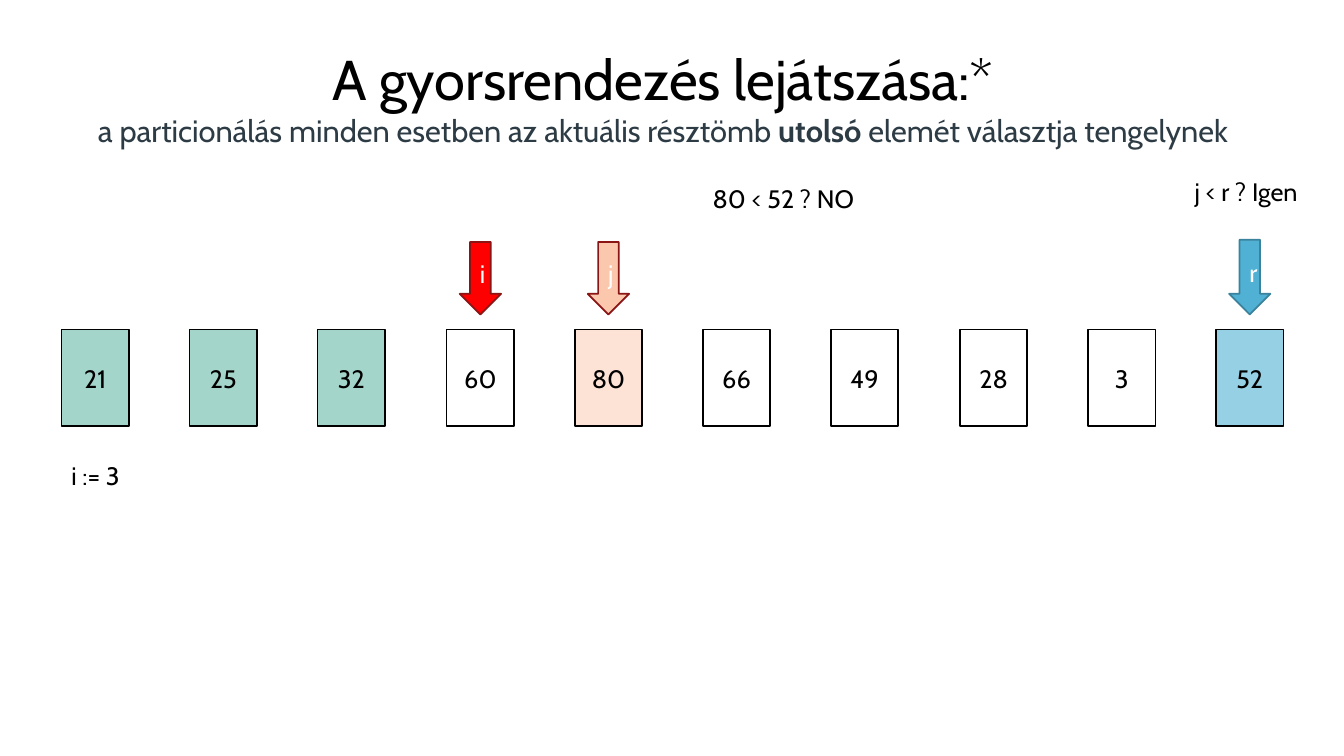
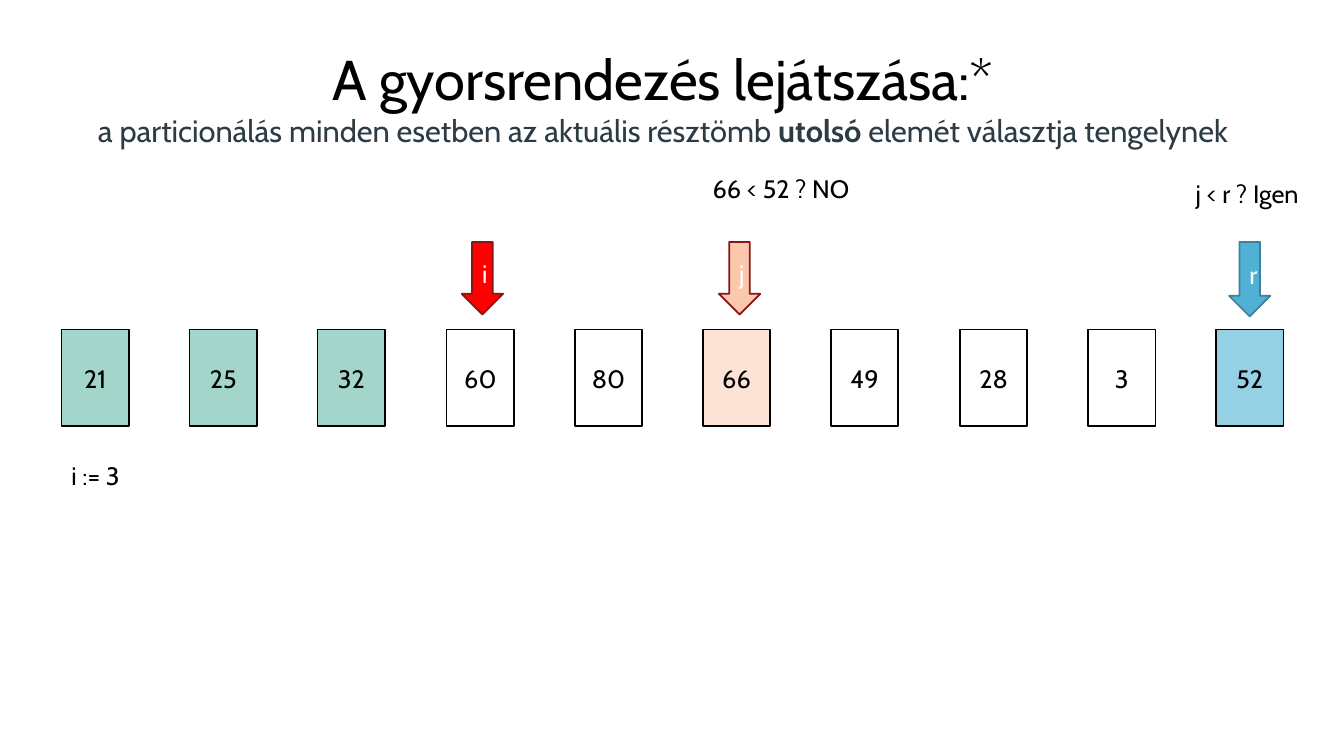
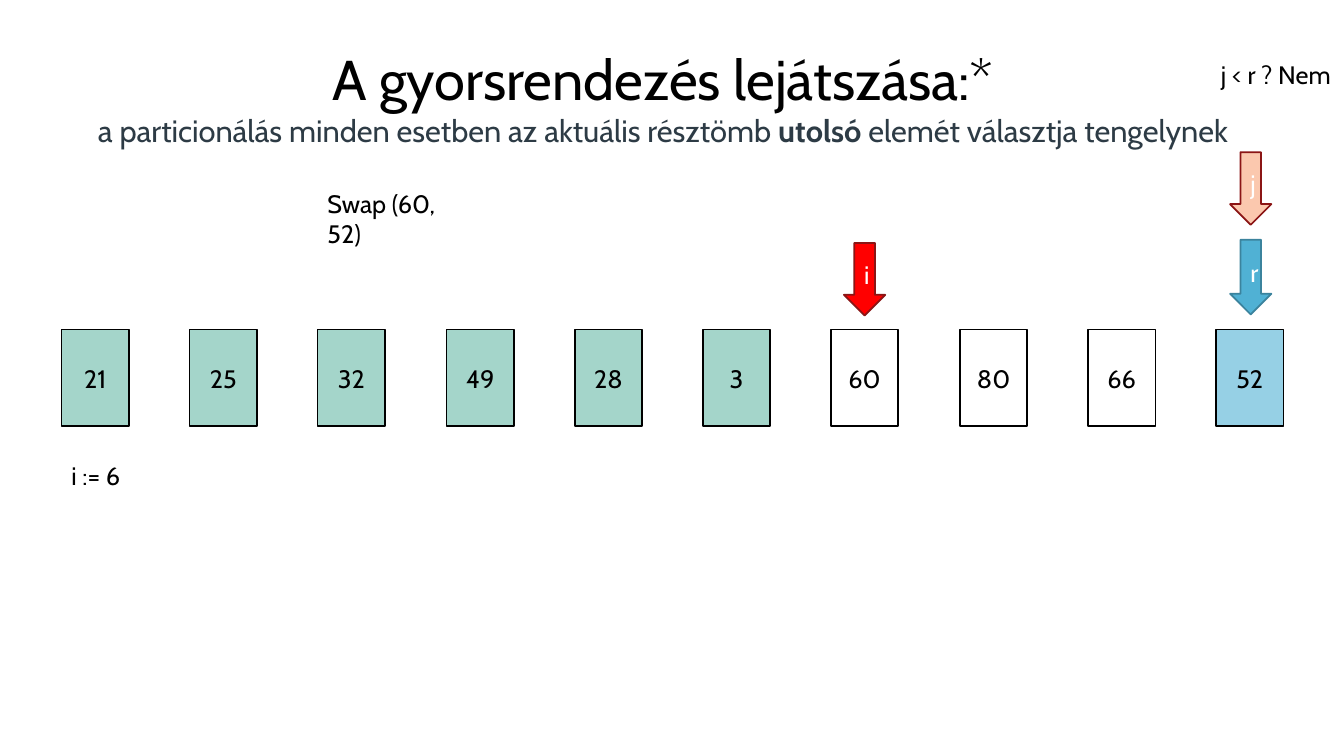
from pptx import Presentation
from pptx.dml.color import RGBColor
from pptx.enum.shapes import MSO_SHAPE as SHAPE
from pptx.enum.text import MSO_ANCHOR as ANCHOR, MSO_AUTO_SIZE as AUTO, PP_ALIGN as ALIGN
from pptx.util import Pt

PX = 9144  # 100 px to the inch
FONT = "Cabin"
BLACK, WHITE, SLATE = "000000", "FFFFFF", "2D3B45"
SMALLER, CURRENT, PIVOT = "A4D5CA", "FDE3D6", "96D0E5"
TITLE_BOX = (63, 18, 1189, 156)
ROW_BOX = (61, 327, 1212, 96)
COUNTER_BOX = (61, 452, 161, 40)
CELL_W, ARROW_W = 67, 41
ARROWS = {  # label: fill, line, height
    "r": ("50B1D4", "3B839D", 74),
    "i": ("FF0000", "8B1515", 72),
    "j": ("FBC8AE", "8B1515", 72),
}

# arrows: label, column, shift from the column's centre, top
# notes: text and box
STEPS = [
    dict(values=[21, 25, 32, 60, 80, 66, 49, 28, 3, 52], smaller=3, current=4,
         arrows=[("r", 9, 0, 238), ("i", 3, 0, 240), ("j", 4, 0, 240)],
         notes=[("80 < 52 ? NO", (697, 177, 226, 40)),
                ("j < r ? Igen", (1175, 170, 144, 40))]),
    dict(values=[21, 25, 32, 60, 80, 66, 49, 28, 3, 52], smaller=3, current=5,
         arrows=[("r", 9, 0, 240), ("i", 3, 2, 240), ("j", 5, 3, 240)],
         notes=[("66 < 52 ? NO", (697, 167, 226, 40)),
                ("j < r ? Igen", (1176, 172, 144, 40))]),
    dict(values=[21, 25, 32, 49, 28, 3, 60, 80, 66, 52], smaller=6, current=None,
         arrows=[("r", 9, 1, 238), ("i", 6, 0, 241), ("j", 9, 1, 151)],
         notes=[("Swap (60, 52)", (315, 182, 160, 40)),
                ("j < r ? Nem", (1201, 54, 144, 40))]),
]


def rgb(color):
    return RGBColor.from_string(color)


def emu(box):
    return [v * PX for v in box]


def add_run(p, text, size=18, color=BLACK, bold=False):
    r = p.add_run()
    r.text = text
    r.font.name, r.font.size, r.font.bold = FONT, Pt(size), bold
    r.font.color.rgb = rgb(color)


def add_box(s, box):
    """Add an empty wrapping text box and return its text frame."""
    tf = s.shapes.add_textbox(*emu(box)).text_frame
    tf.word_wrap = True
    return tf


def add_title(s, box):
    tf = add_box(s, box)
    tf.vertical_anchor = ANCHOR.MIDDLE
    p = tf.paragraphs[0]
    p.alignment = ALIGN.CENTER
    add_run(p, "A gyorsrendezés lejátszása:*", 40)
    p.add_line_break()
    add_run(p, "a particionálás minden esetben az aktuális résztömb ", 22, SLATE)
    add_run(p, "utolsó", 22, SLATE, bold=True)
    add_run(p, " elemét választja tengelynek", 22, SLATE)


def add_note(s, text, box):
    tf = add_box(s, box)
    tf.auto_size = AUTO.SHAPE_TO_FIT_TEXT
    add_run(tf.paragraphs[0], text)


def add_labelled(s, kind, box, text, fill, line, color):
    """Add a filled, outlined shape with one centred label."""
    sp = s.shapes.add_shape(kind, *emu(box))
    sp.shadow.inherit = False
    sp.fill.solid()
    sp.fill.fore_color.rgb = rgb(fill)
    sp.line.color.rgb = rgb(line)
    sp.line.width = Pt(1.25)
    tf = sp.text_frame
    tf.vertical_anchor = ANCHOR.MIDDLE
    p = tf.paragraphs[0]
    p.alignment = ALIGN.CENTER
    add_run(p, text, color=color)


def add_array(s, box, values, smaller, current, arrows):
    """Draw the array cells in the box and the index arrows over their columns."""
    left, top, width, height = box
    last = len(values) - 1
    cell_lefts = [left + round(k * (width - CELL_W) / last) for k in range(len(values))]
    fills = [SMALLER if k < smaller else WHITE for k in range(len(values))]
    fills[last] = PIVOT
    if current is not None:
        fills[current] = CURRENT
    for x, value, fill in zip(cell_lefts, values, fills):
        add_labelled(s, SHAPE.RECTANGLE, (x, top, CELL_W, height),
                     str(value), fill, BLACK, BLACK)
    for label, column, shift, arrow_top in arrows:
        fill, line, arrow_h = ARROWS[label]
        x = cell_lefts[column] + (CELL_W - ARROW_W) // 2 + shift
        add_labelled(s, SHAPE.DOWN_ARROW, (x, arrow_top, ARROW_W, arrow_h),
                     label, fill, line, WHITE)


def add_step(prs, values, smaller, current, arrows, notes):
    s = prs.slides.add_slide(prs.slide_layouts[6])
    add_array(s, ROW_BOX, values, smaller, current, arrows)
    add_note(s, f"i := {smaller}", COUNTER_BOX)
    for text, box in notes:
        add_note(s, text, box)
    add_title(s, TITLE_BOX)


def main():
    prs = Presentation()
    prs.slide_width, prs.slide_height = emu((1333, 750))
    for step in STEPS:
        add_step(prs, **step)
    prs.save("out.pptx")


if __name__ == "__main__":
    main()
